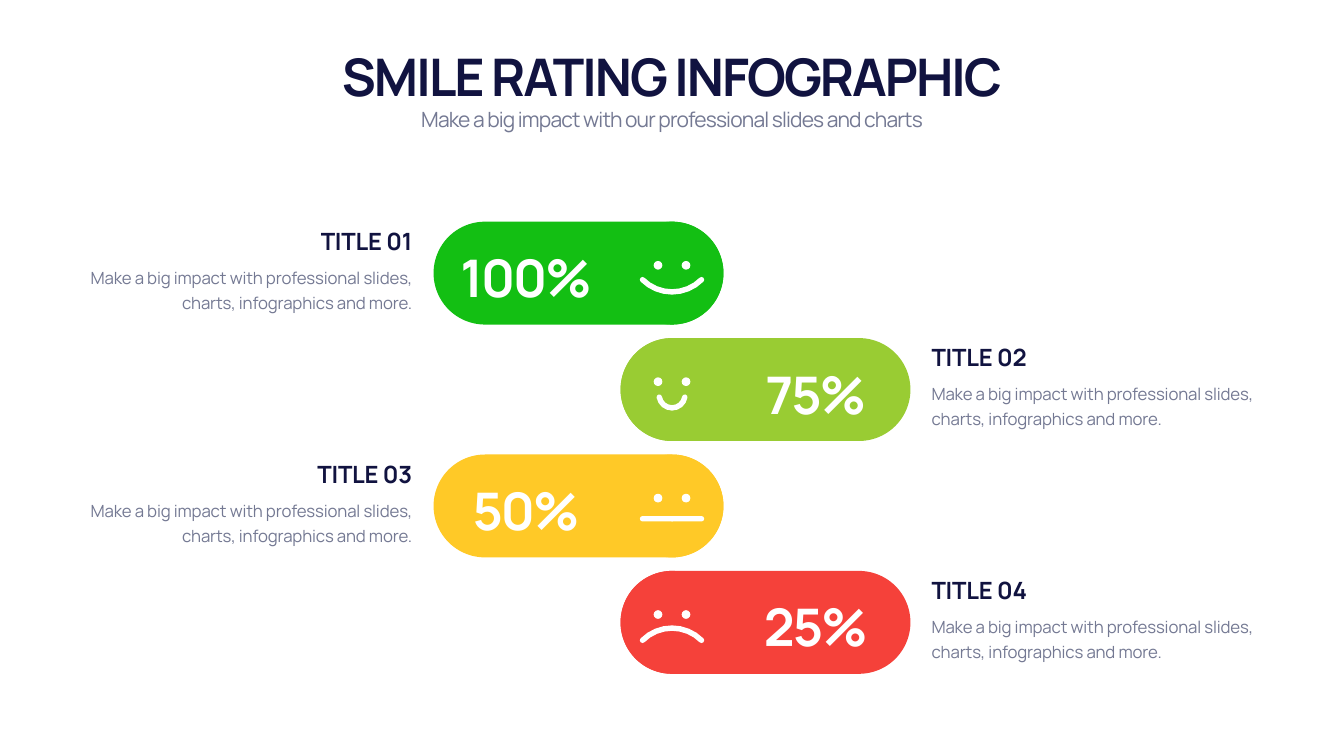
from math import cos, radians, sin

from pptx import Presentation
from pptx.dml.color import RGBColor
from pptx.enum import shapes, text
from pptx.util import Pt

COLORS = {
    "ink": "111340", "grey": "747993", "white": "FFFFFF",
    "green": "13BF13", "lime": "99CC33", "yellow": "FFC927", "red": "F5413A",
}
FONT = "Manrope"
ALIGN, ANCHOR = text.PP_ALIGN, text.MSO_ANCHOR
SLIDE_W, SLIDE_H = 1919.52, 1080
MARGIN = 119.8
PILL_W, PILL_H = 414, 147
FIRST_TOP, ROW_STEP = 316.7, 166.3
LEFT_PILL_X, RIGHT_PILL_X = 619.2, 886.3
FACE_X = RIGHT_PILL_X + PILL_H / 2
EYE_DX, EYE_Y, EYE_R = 20, 62.3, 6.2
LIP = 3.9  # half the thickness of a mouth
COPY = "Make a big impact with professional slides, charts, infographics and more."

# percentage, colour, mouth half width, bend in degrees, mouth middle below pill top
RATINGS = [
    ("100%", "green", 42.1, 45, 100.3),
    ("75%", "lime", 18.2, 80, 99.7),
    ("50%", "yellow", 42.1, 0.01, 91.8),
    ("25%", "red", 42.1, -45, 81.7),
]


def rgb(name):
    return RGBColor.from_string(COLORS[name])


def paint(s, color):
    s.shadow.inherit = False
    s.fill.solid()
    s.fill.fore_color.rgb = rgb(color)
    s.line.fill.background()


def add_text(slide, content, x, y, w, h, size, color, bold=False, tracking=0,
             align=ALIGN.LEFT, anchor=ANCHOR.TOP, leading=None):
    tf = slide.shapes.add_textbox(Pt(x), Pt(y), Pt(w), Pt(h)).text_frame
    tf.word_wrap = True
    tf.auto_size = text.MSO_AUTO_SIZE.SHAPE_TO_FIT_TEXT
    tf.vertical_anchor = anchor
    p = tf.paragraphs[0]
    p.alignment = align
    if leading:
        p.line_spacing = Pt(leading)
    r = p.add_run()
    r.text = content
    r.font.name, r.font.size, r.font.bold = FONT, Pt(size), bold
    r.font.color.rgb = rgb(color)
    r.font._element.set("spc", str(round(tracking * 100)))


def add_shape(slide, kind, x, y, w, h, color):
    s = slide.shapes.add_shape(kind, Pt(x), Pt(y), Pt(w), Pt(h))
    paint(s, color)
    return s


def eye_outline(x, y):
    return [(x + EYE_R * cos(radians(a)), y + EYE_R * sin(radians(a)))
            for a in range(0, 360, 30)]


def mouth_outline(x, y, half_width, bend):
    """Outline of an arc with round ends; a positive bend smiles."""
    radius = half_width / sin(radians(bend))
    arc = [bend * i / 4 for i in range(-4, 5)]
    cap = (45, 90, 135)
    steps = ([(t, 0) for t in arc] + [(bend, u) for u in cap]
             + [(t, 180) for t in reversed(arc)] + [(-bend, u + 180) for u in cap])
    return [(x + radius * sin(radians(t)) + LIP * sin(radians(t + u)),
             y + radius * (cos(radians(t)) - 1) + LIP * cos(radians(t + u)))
            for t, u in steps]


def add_face(slide, top, half_width, bend, mouth_y):
    first, *others = [
        [(Pt(x), Pt(y)) for x, y in outline] for outline in (
            mouth_outline(FACE_X, top + mouth_y, half_width, bend),
            eye_outline(FACE_X + EYE_DX, top + EYE_Y),
            eye_outline(FACE_X - EYE_DX, top + EYE_Y))]
    builder = slide.shapes.build_freeform(*first[0])
    builder.add_line_segments(first[1:], close=True)
    for points in others:
        builder.move_to(*points[0])
        builder.add_line_segments(points[1:], close=True)
    paint(builder.convert_to_shape(), "white")


def add_pill(slide, x, top, color):
    pill = add_shape(slide, shapes.MSO_SHAPE.ROUNDED_RECTANGLE,
                     x, top, PILL_W, PILL_H, color)
    pill.adjustments[0] = 0.5


def add_labels(slide, index, on_left, pill_x, top, percent):
    x = MARGIN if on_left else 1323.4
    align = ALIGN.RIGHT if on_left else ALIGN.LEFT
    add_text(slide, f"TITLE {index + 1:02}", x, top + 3.2, 476, 48, 34, "ink",
             bold=True, tracking=-0.3, align=align, anchor=ANCHOR.BOTTOM)
    add_text(slide, COPY, x, top + 54.8, 476, 78.5, 24, "grey",
             tracking=-0.2, align=align, leading=36)
    add_text(slide, percent, pill_x + (26 if on_left else 172.8), top + 30.3,
             212.4, 97.2, 74, "white", bold=True, tracking=-2.9,
             align=ALIGN.CENTER, anchor=ANCHOR.MIDDLE)


def main():
    prs = Presentation()
    prs.slide_width, prs.slide_height = Pt(SLIDE_W), Pt(SLIDE_H)
    slide = prs.slides.add_slide(prs.slide_layouts[6])

    rows = []
    for index, rating in enumerate(RATINGS):
        on_left = index % 2 == 0
        pill_x = LEFT_PILL_X if on_left else RIGHT_PILL_X
        rows.append((index, on_left, pill_x, FIRST_TOP + index * ROW_STEP, rating))

    for _, _, pill_x, top, (_, color, *_) in reversed(rows):
        add_pill(slide, pill_x, top, color)
    for _, _, _, top, (_, color, *mouth) in rows:
        add_shape(slide, shapes.MSO_SHAPE.OVAL, RIGHT_PILL_X, top, PILL_H, PILL_H, color)
        add_face(slide, top, *mouth)

    width = SLIDE_W - 2 * MARGIN
    add_text(slide, "SMILE RATING INFOGRAPHIC", MARGIN, 59, width, 97.2, 74, "ink",
             bold=True, tracking=-2.9, align=ALIGN.CENTER, anchor=ANCHOR.BOTTOM)
    add_text(slide, "Make a big impact with our professional slides and charts",
             MARGIN, 149, width, 44, 30, "grey", tracking=-1.2, align=ALIGN.CENTER)
    for index, on_left, pill_x, top, (percent, *_) in rows:
        add_labels(slide, index, on_left, pill_x, top, percent)
    prs.save("out.pptx")


if __name__ == "__main__":
    main()
